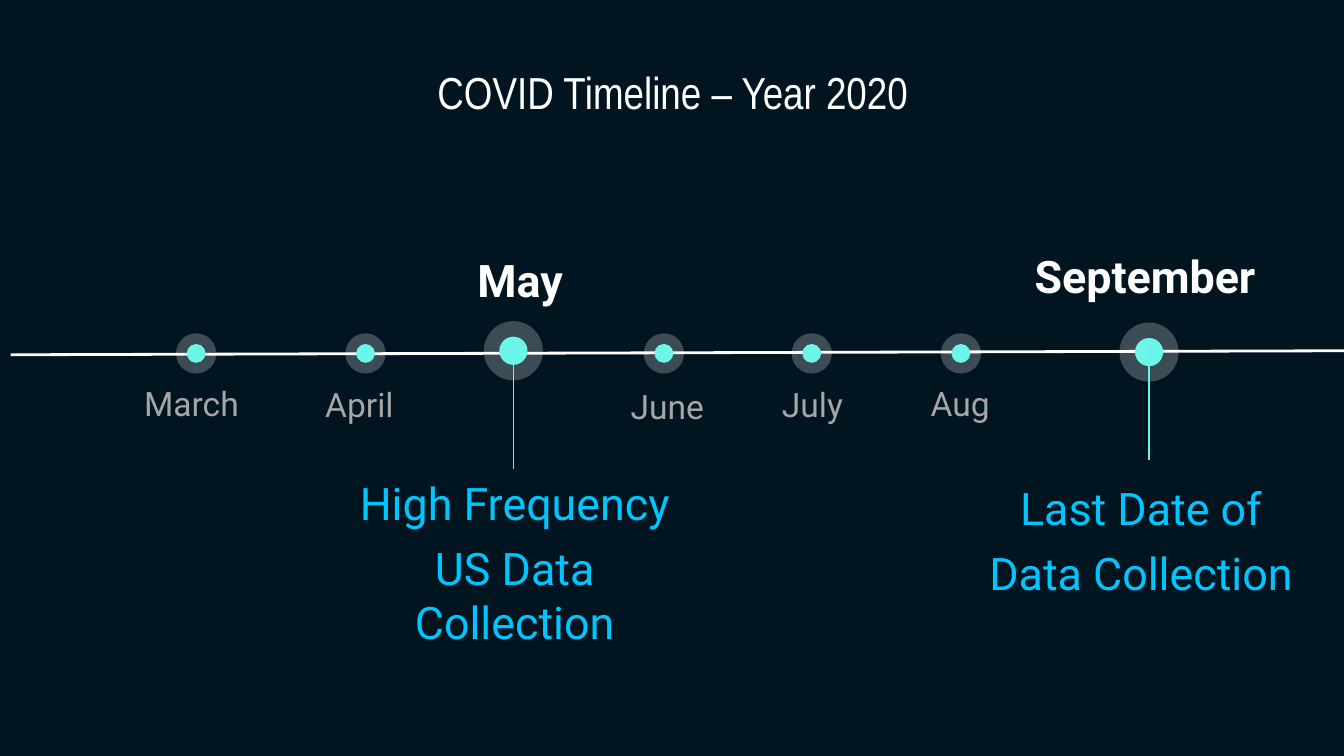
from lxml.etree import SubElement
from pptx import Presentation
from pptx.dml.color import RGBColor
from pptx.enum.shapes import MSO_CONNECTOR, MSO_SHAPE
from pptx.enum.text import MSO_ANCHOR, PP_ALIGN
from pptx.oxml.ns import qn
from pptx.util import Inches, Pt

COLORS = {
    "background": "00151F",
    "white": "FFFFFF",
    "dot": "6CF6EA",
    "stem": "66F4E8",
    "month": "A6A6A6",
    "event": "00C5FF",
}

MONTHS = [
    ("March", 1.46, 0.71, 2.75),
    ("April", 2.72, 1.96, 2.76),
    ("June", 4.94, 4.25, 2.77),
    ("July", 6.04, 5.33, 2.76),
    ("Aug", 7.15, 6.43, 2.75),
]

MILESTONES = [
    ("May", 3.82, 2.61, (2.42, 1.78), (2.63, 3.49),
     ["High Frequency", "US Data Collection"], (2.38, 3.44)),
    ("September", 8.55, 2.62, (7.07, 1.75), (2.56, 3.42),
     ["Last Date of", "Data Collection"], (7.04, 3.48)),
]


def color(name):
    return RGBColor.from_string(COLORS[name])


def write_text(box, lines, size, color_name, font="Roboto", bold=False, after=6):
    frame = box.text_frame
    frame.word_wrap = True
    frame.vertical_anchor = MSO_ANCHOR.TOP
    frame.margin_left = frame.margin_right = Inches(0.1)
    frame.margin_top = frame.margin_bottom = Inches(0.1)
    for index, line in enumerate(lines):
        para = frame.add_paragraph() if index else frame.paragraphs[0]
        para.alignment = PP_ALIGN.CENTER
        para.space_before = Pt(0)
        para.space_after = Pt(after)
        span = para.add_run()
        span.text = line
        span.font.name = font
        span.font.size = Pt(size)
        span.font.bold = bold
        span.font.color.rgb = color(color_name)


def add_label(page, lines, left, top, width, height, **text_format):
    box = page.shapes.add_textbox(Inches(left), Inches(top), Inches(width), Inches(height))
    write_text(box, lines, **text_format)


def add_line(page, start, end, color_name, weight):
    line = page.shapes.add_connector(
        MSO_CONNECTOR.STRAIGHT, *[Inches(value) for value in start + end])
    line.line.color.rgb = color(color_name)
    line.line.width = Pt(weight)
    SubElement(line._element.spPr, qn("a:effectLst"))


def add_circle(group, x, y, diameter, color_name, opacity=None):
    circle = group.shapes.add_shape(
        MSO_SHAPE.OVAL, Inches(x - diameter / 2), Inches(y - diameter / 2),
        Inches(diameter), Inches(diameter))
    circle.shadow.inherit = False
    circle.line.fill.background()
    circle.fill.solid()
    circle.fill.fore_color.rgb = color(color_name)
    if opacity is not None:
        fill_color = circle._element.spPr.find(qn("a:solidFill"))[0]
        SubElement(fill_color, qn("a:alpha")).set("val", str(opacity * 1000))


def add_marker(page, x, y, halo, dot):
    group = page.shapes.add_group_shape()
    add_circle(group, x, y, halo, "white", opacity=24)
    add_circle(group, x, y, dot, "dot")


def add_title(page, text):
    title = page.shapes.title
    title.left, title.top = Inches(1.03), Inches(0.38)
    title.width, title.height = Inches(7.95), Inches(0.91)
    write_text(title, [text], 24, "white", font="Arial Narrow", after=0)


def add_month(page, name, x, left, top):
    add_marker(page, x, 2.63, 0.3, 0.14)
    add_label(page, [name], left, top, 1.43, 0.65, size=18, color_name="month")


def add_milestone(page, name, x, y, name_at, stem, event, event_at):
    add_marker(page, x, y, 0.44, 0.21)
    add_line(page, (x, stem[0]), (x, stem[1]), "stem", 0.75)
    add_label(page, [name], *name_at, 2.9, 1.03, size=24, color_name="white", bold=True)
    add_label(page, event, *event_at, 2.9, 1.03, size=24, color_name="event")


def main():
    deck = Presentation()
    deck.slide_width = Inches(10)
    deck.slide_height = deck.slide_width * 9 // 16
    page = deck.slides.add_slide(deck.slide_layouts[5])
    page.background.fill.solid()
    page.background.fill.fore_color.rgb = color("background")
    add_title(page, "COVID Timeline – Year 2020")
    add_line(page, (10, 2.61), (0.08, 2.64), "white", 1.5)
    for month in MONTHS:
        add_month(page, *month)
    for milestone in MILESTONES:
        add_milestone(page, *milestone)
    deck.save("out.pptx")


if __name__ == "__main__":
    main()
